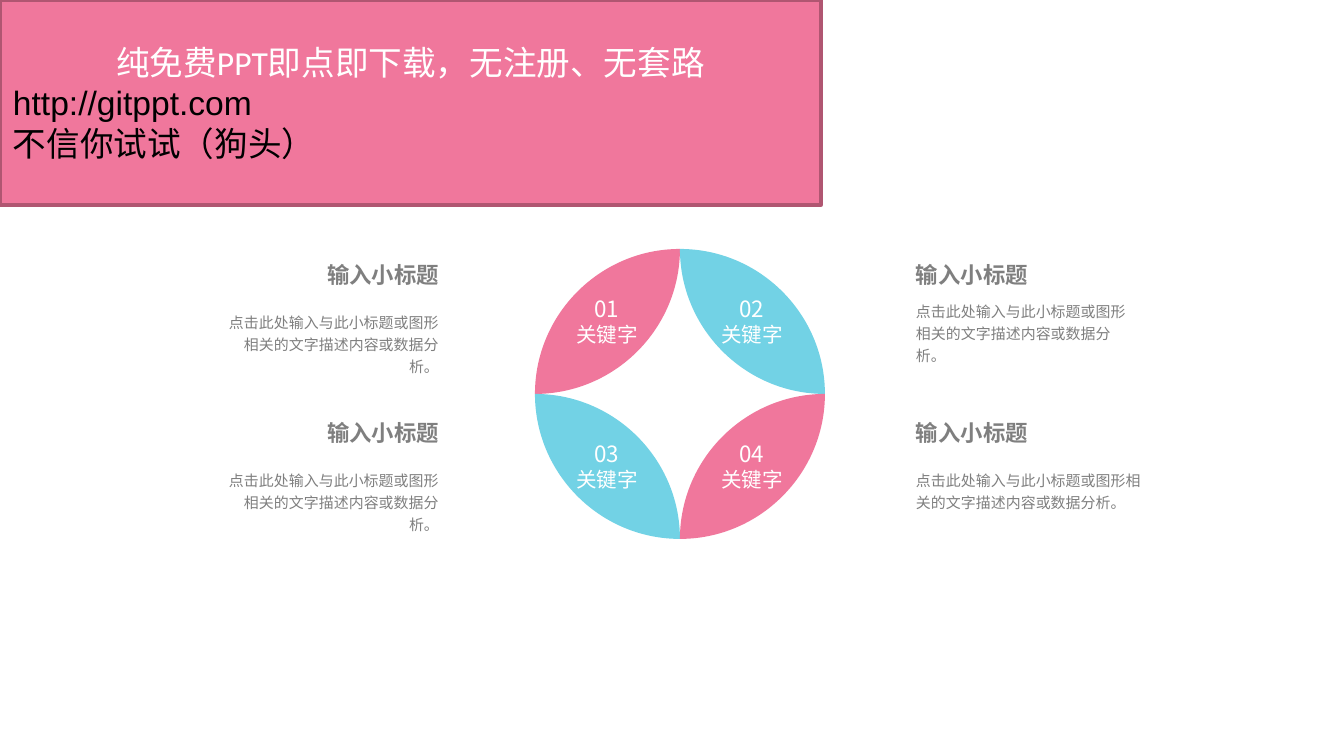
"""Build a slide with a four-petal ring, its captions and a banner."""
from typing import NamedTuple

from lxml.etree import SubElement
from pptx import Presentation
from pptx.dml.color import RGBColor
from pptx.enum.shapes import MSO_SHAPE as Form
from pptx.enum.text import MSO_ANCHOR as Anchor, MSO_AUTO_SIZE as Fit, PP_ALIGN as Align
from pptx.oxml.ns import qn
from pptx.util import Pt

PX = 914400 / 134.4
PINK = RGBColor(0xF0, 0x77, 0x9C)
ROSE = RGBColor(0xB0, 0x56, 0x71)
CYAN = RGBColor(0x72, 0xD2, 0xE5)
GRAY = RGBColor(0x7F, 0x7F, 0x7F)
WHITE = RGBColor(0xFF, 0xFF, 0xFF)
BLACK = RGBColor(0, 0, 0)
SANS = "Noto Sans CJK SC"
HEAD = "输入小标题"
BODY = "点击此处输入与此小标题或图形相关的文字描述内容或数据分析。"
LEFT, TOP, SIDE = 535, 249, 145
BEND = 0.55


class Box(NamedTuple):
    x: int
    y: int
    w: int
    h: int


class Line(NamedTuple):
    text: str
    size: int
    color: RGBColor
    align: Align = Align.LEFT
    bold: bool = False
    font: str = SANS
    space: float = 1.0


class Petal(NamedTuple):
    num: str
    col: int
    row: int
    color: RGBColor


class Note(NamedTuple):
    head: Box
    body: Box
    align: Align


PETALS = [
    Petal("01", 0, 0, PINK),
    Petal("02", 1, 0, CYAN),
    Petal("03", 0, 1, CYAN),
    Petal("04", 1, 1, PINK),
]
NOTES = [
    Note(Box(0, 249, 439, 44), Box(221, 304, 218, 55), Align.RIGHT),
    Note(Box(916, 249, 428, 44), Box(916, 293, 223, 55), Align.LEFT),
    Note(Box(0, 407, 439, 44), Box(221, 462, 218, 55), Align.RIGHT),
    Note(Box(916, 407, 428, 44), Box(916, 462, 234, 55), Align.LEFT),
]


def emu(px: float) -> int:
    """Turn px into EMU."""
    return round(px * PX)


def write(frame, lines: list[Line], pad_x: int, pad_y: int) -> None:
    """Fill a text frame with one run per line."""
    frame.word_wrap = True
    frame.margin_left = frame.margin_right = emu(pad_x)
    frame.margin_top = frame.margin_bottom = emu(pad_y)
    for i, line in enumerate(lines):
        para = frame.add_paragraph() if i else frame.paragraphs[0]
        para.alignment = line.align
        para.line_spacing = line.space
        para._p.get_or_add_pPr().set("hangingPunct", "0")
        run = para.add_run()
        run.text = line.text
        font = run.font
        font.name, font.size, font.bold = line.font, Pt(line.size), line.bold
        font.color.rgb = line.color
        SubElement(run._r.get_or_add_rPr(), qn("a:ea"), typeface=SANS)


def add_text(shapes, box: Box, lines: list[Line], pad_x: int = 0) -> None:
    """Add a text box that grows with its lines."""
    frame = shapes.add_textbox(*map(emu, box)).text_frame
    write(frame, lines, pad_x, 5)
    frame.auto_size = Fit.SHAPE_TO_FIT_TEXT


def add_curve(path, points: list[tuple[float, float]]) -> None:
    """Add a Bezier curve, given in parts of a petal's side, to a path."""
    curve = SubElement(path, qn("a:cubicBezTo"))
    for x, y in points:
        SubElement(curve, qn("a:pt"), x=str(emu(x * SIDE)), y=str(emu(y * SIDE)))


def add_petal(shapes, petal: Petal) -> None:
    """Draw a petal with two quarter arcs between its tips, and its label."""
    x, y = LEFT + petal.col * SIDE, TOP + petal.row * SIDE
    col, row = petal.col, petal.row
    tips = [(1 - col, row), (col, 1 - row)]
    start, end = [(emu(x + a * SIDE), emu(y + b * SIDE)) for a, b in tips]
    build = shapes.build_freeform(*start)
    build.add_line_segments([end], close=False)
    shape = build.convert_to_shape()
    path = next(shape._element.iter(qn("a:path")))
    path.remove(path.find(qn("a:lnTo")))
    dx, dy = 2 * col - 1, 2 * row - 1
    (ax, ay), (bx, by) = tips
    add_curve(path, [(ax + dx * BEND, ay), (bx, by + dy * BEND), (bx, by)])
    add_curve(path, [(bx - dx * BEND, by), (ax, ay - dy * BEND), (ax, ay)])
    SubElement(path, qn("a:close"))
    shape.shadow.inherit = False
    shape.fill.solid()
    shape.fill.fore_color.rgb = petal.color
    shape.line.fill.background()


def add_label(shapes, petal: Petal) -> None:
    """Add the number and keyword of a petal."""
    lines = [
        Line(petal.num, 12, WHITE, Align.CENTER),
        Line("关键字", 11, WHITE, Align.CENTER),
    ]
    x, y = LEFT + petal.col * SIDE, TOP + petal.row * SIDE
    add_text(shapes, Box(x + 14, y + 41, 116, 62), lines, 11)


def add_note(shapes, note: Note) -> None:
    """Add a heading and the text below it."""
    add_text(shapes, note.body, [Line(BODY, 8, GRAY, note.align, space=1.25)])
    add_text(shapes, note.head, [Line(HEAD, 12, GRAY, note.align, True, space=1.25)])


def add_banner(shapes) -> None:
    """Add the framed banner at the top left."""
    shape = shapes.add_shape(Form.RECTANGLE, *map(emu, Box(0, 0, 821, 205)))
    shape.shadow.inherit = False
    shape.fill.solid()
    shape.fill.fore_color.rgb = PINK
    shape.line.color.rgb = ROSE
    shape.line.width = Pt(2)
    lines = [
        Line("纯免费PPT即点即下载，无注册、无套路", 18, WHITE, Align.CENTER, font="Calibri"),
        Line("http://gitppt.com", 18, BLACK, font="Arial"),
        Line("不信你试试（狗头）", 18, BLACK, font="Arial"),
    ]
    write(shape.text_frame, lines, 13, 7)
    shape.text_frame.vertical_anchor = Anchor.MIDDLE


def main() -> None:
    """Build and save the slide."""
    deck = Presentation()
    deck.slide_width, deck.slide_height = emu(1344), emu(756)
    shapes = deck.slides.add_slide(deck.slide_layouts[6]).shapes
    for petal in PETALS:
        add_petal(shapes, petal)
    for petal in PETALS:
        add_label(shapes, petal)
    for note in NOTES:
        add_note(shapes, note)
    add_banner(shapes)
    deck.save("out.pptx")


if __name__ == "__main__":
    main()
